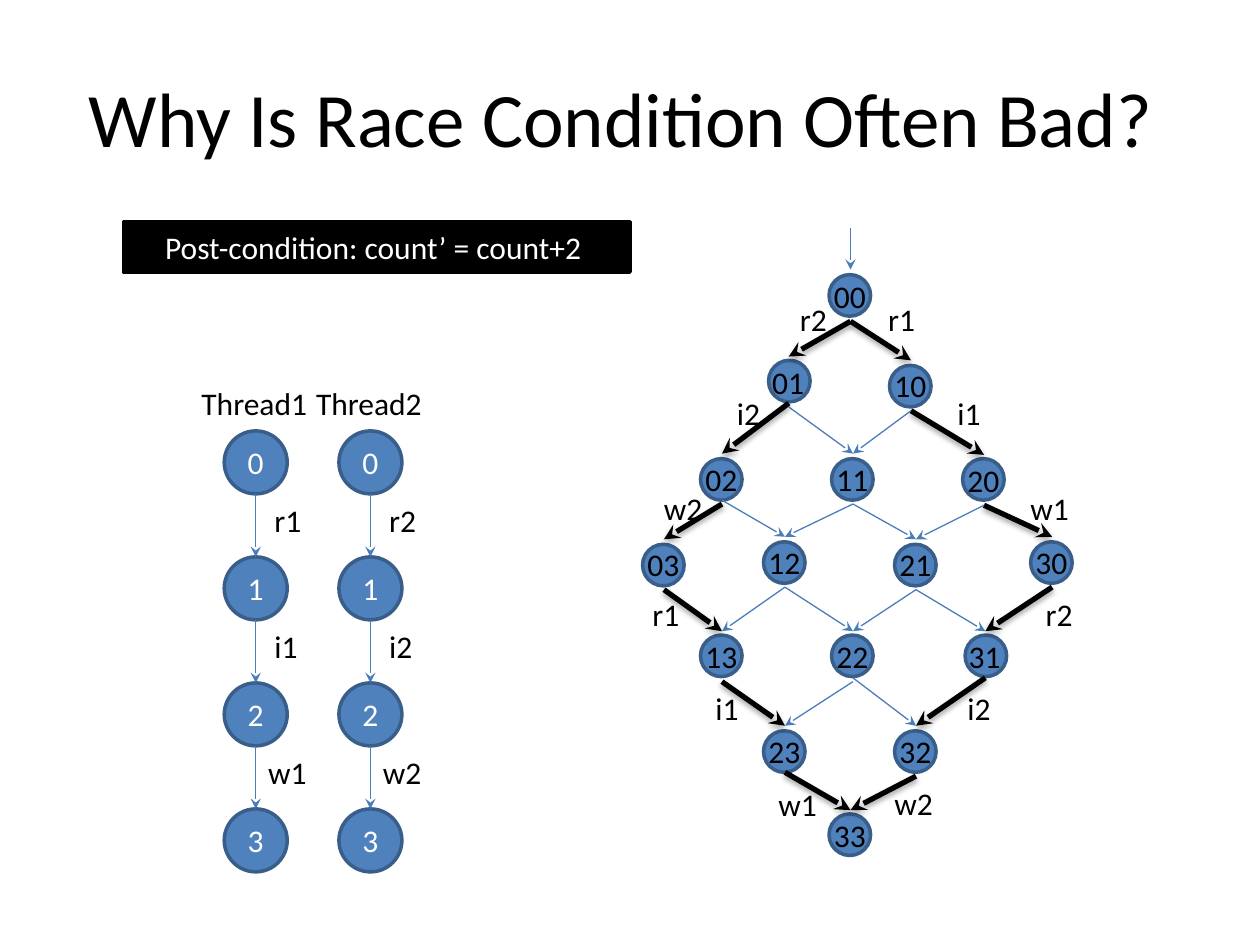
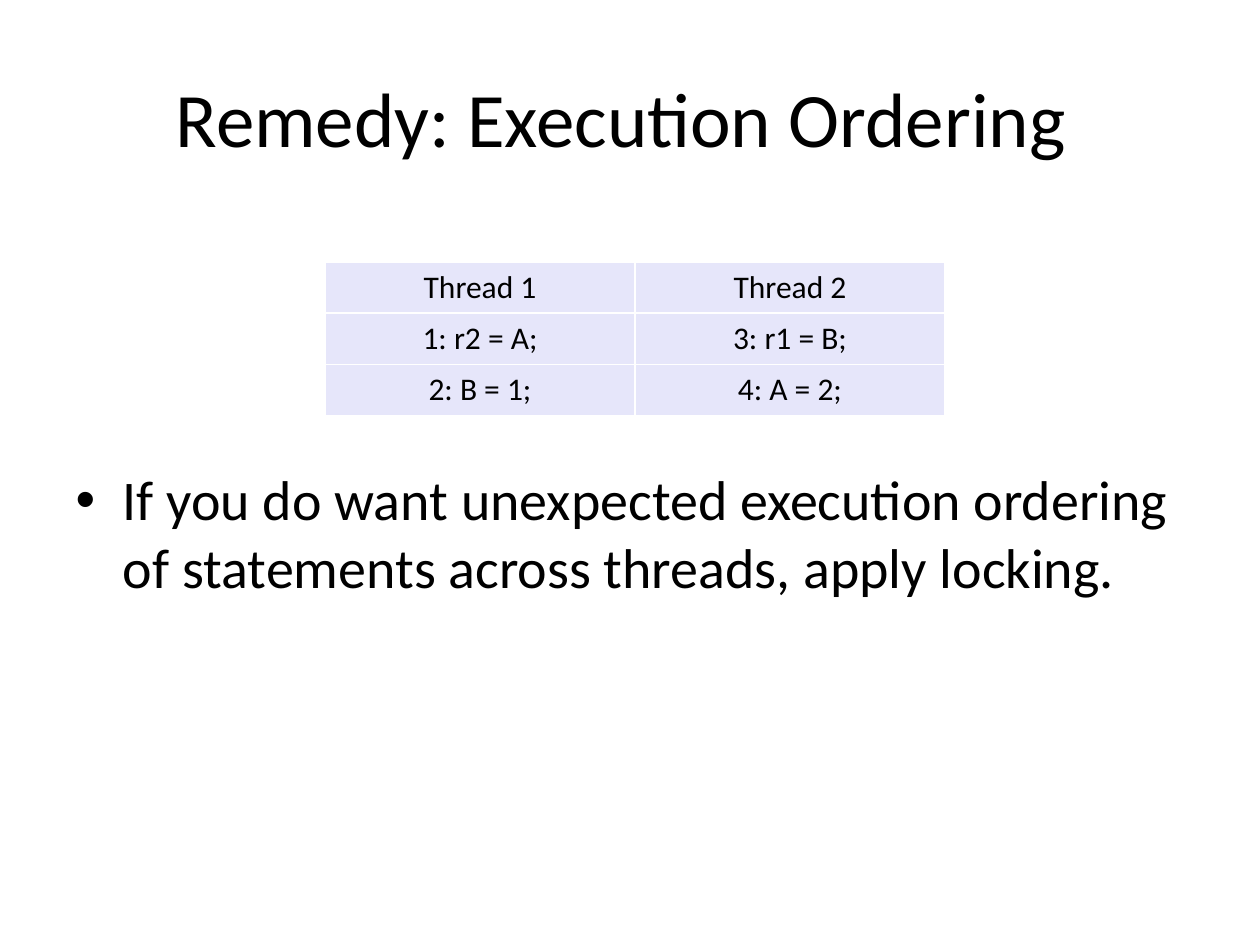
import pptx
import pptx.util
import pptx.dml.color
import pptx.enum.shapes
import pptx.enum.text
import pptx.oxml
import pptx.oxml.ns

PX = 9144  # EMU per px, 100 px to the inch
BLACK = pptx.dml.color.RGBColor(0x00, 0x00, 0x00)
WHITE = pptx.dml.color.RGBColor(0xFF, 0xFF, 0xFF)
BLUE = pptx.dml.color.RGBColor(0x4F, 0x81, 0xBD)
RIM = pptx.dml.color.RGBColor(0x39, 0x5E, 0x89)
ARROW = pptx.dml.color.RGBColor(0x4A, 0x7D, 0xBA)
LAVENDER = pptx.dml.color.RGBColor(0xE6, 0xE6, 0xFA)
SHAPE = pptx.enum.shapes.MSO_SHAPE
ANCHOR = pptx.enum.text.MSO_ANCHOR
ALIGN = pptx.enum.text.PP_ALIGN
SHADOW = ('<a:outerShdw blurRad="40000" dist="23000" dir="5400000" rotWithShape="0">'
          '<a:srgbClr val="000000"><a:alpha val="35000"/></a:srgbClr></a:outerShdw>')


def px(*lengths):
    return [length * PX for length in lengths]


class Deck:
    """Shared style, and the slide being filled."""
    font = "Calibri"
    title_size, body_size, label_size = 44, 32, 18

    def __init__(self):
        self.show = pptx.Presentation()
        self.show.slide_width, self.show.slide_height = px(1000, 750)
        self.page = None

    def set_text(self, frame, text, size=label_size, color=BLACK, align=ALIGN.LEFT):
        frame.text = text
        para = frame.paragraphs[0]
        para.alignment = align
        for span in para.runs:
            span.font.name = self.font
            span.font.size = pptx.util.Pt(size)
            span.font.bold = False
            span.font.color.rgb = color

    def place(self, box, left, top, width, height):
        box.left, box.top, box.width, box.height = px(left, top, width, height)

    def slide(self, title, layout):
        self.page = self.show.slides.add_slide(self.show.slide_layouts[layout])
        box = self.page.shapes.title
        self.place(box, 50, 30, 900, 125)
        self.set_text(box.text_frame, title, self.title_size, align=ALIGN.CENTER)

    def body(self, text, *area):
        box = self.page.placeholders[1]
        self.place(box, *area)
        self.set_text(box.text_frame, text, self.body_size)
        box.text_frame.paragraphs[0].space_before = pptx.util.Pt(0)

    def label(self, text, left, top, width=47):
        box = self.page.shapes.add_textbox(*px(left, top, width, 40))
        box.text_frame.word_wrap = True
        self.set_text(box.text_frame, text)

    def shape(self, kind, area, fill, line, text="", anchor=ANCHOR.MIDDLE):
        shape = self.page.shapes.add_shape(kind, *px(*area))
        shape.shadow.inherit = False
        shape.fill.solid()
        shape.fill.fore_color.rgb = fill
        shape.line.color.rgb = line
        shape.line.width = pptx.util.Pt(2)
        shape.text_frame.vertical_anchor = anchor
        if text:
            self.set_text(shape.text_frame, text, color=WHITE, align=ALIGN.CENTER)

    def circle(self, x, y, size, text=""):
        area = (x - size / 2, y - size / 2, size, size)
        self.shape(SHAPE.OVAL, [round(length) for length in area], BLUE, RIM, text)

    def arrow(self, start, end, heavy=False):
        line = self.page.shapes.add_connector(
            pptx.enum.shapes.MSO_CONNECTOR.STRAIGHT, *px(*start, *end))
        line.line.color.rgb = BLACK if heavy else ARROW
        line.line.width = pptx.util.Pt(3 if heavy else 0.75)
        space = pptx.oxml.ns.nsdecls("a")
        properties = line._element.spPr
        properties.get_or_add_ln().append(
            pptx.oxml.parse_xml(f'<a:tailEnd {space} type="stealth"/>'))
        properties.append(pptx.oxml.parse_xml(
            f'<a:effectLst {space}>{SHADOW if heavy else ""}</a:effectLst>'))

    def table(self, rows, left, top, width, row_height):
        table = self.page.shapes.add_table(
            len(rows), len(rows[0]), *px(left, top, width, row_height * len(rows))).table
        for r, row in enumerate(rows):
            for c, text in enumerate(row):
                cell = table.cell(r, c)
                cell.fill.solid()
                cell.fill.fore_color.rgb = LAVENDER
                cell.vertical_anchor = ANCHOR.MIDDLE
                self.set_text(cell.text_frame, text, align=ALIGN.CENTER)
        # No header row or banding, so no white rules between rows
        table.first_row = table.horz_banding = False


# Centre of each joint state, named by the steps done in thread 1 and thread 2
STATES = {
    "00": (675, 235), "01": (626, 303), "10": (723, 306),
    "02": (573, 380), "11": (677, 380), "20": (781, 381),
    "03": (527, 448), "12": (623, 446), "21": (727, 448), "30": (835, 446),
    "13": (573, 521), "22": (677, 521), "31": (782, 521),
    "23": (623, 596), "32": (727, 596), "33": (675, 663),
}
# Arrows that start at the rim of the circle instead of just below it
FROM_RIM = {("01", "02"), ("02", "12"), ("22", "32"), ("31", "32"), ("23", "33")}
OUTER_STEPS = [
    ("r2", 625, 233), ("i2", 575, 308), ("w2", 517, 383),
    ("r1", 508, 467), ("i1", 558, 542), ("w1", 608, 618),
    ("r1", 695, 233), ("i1", 750, 308), ("w1", 808, 383),
    ("r2", 820, 467), ("i2", 758, 542), ("w2", 700, 617),
]


def draw_thread(deck, number, x):
    deck.label(f"Thread{number}", x - 53, 300, 105)
    for state in range(4):
        deck.circle(x, 367 + 100 * state, 50, str(state))
    for step, action in enumerate("riw"):
        top = 392 + 100 * step
        deck.arrow((x, top), (x, top + 50))
        wide = action == "w"
        deck.label(f"{action}{number}", x + (0 if wide else 5), top + 1, 52 if wide else 47)


def draw_state_graph(deck):
    for name, (x, y) in STATES.items():
        deck.circle(x, y, 33)
        deck.label(name, x - 23, y - 20, 46)
    deck.arrow((675, 181), (675, 214))
    for name, (x, y) in STATES.items():
        first, second = int(name[0]), int(name[1])
        # The idle thread's state is 0 or 3 on the outer paths
        for target, idle in ((f"{first + 1}{second}", second), (f"{first}{second + 1}", first)):
            if target in STATES:
                gap = 17 if (name, target) in FROM_RIM else 20
                end_x, end_y = STATES[target]
                deck.arrow((x, y + gap), (end_x, end_y - 20), heavy=idle in (0, 3))
    for text, left, top in OUTER_STEPS:
        deck.label(text, left, top, 58)


def main():
    deck = Deck()

    # Slide 1: both threads and their interleavings
    deck.slide("Why Is Race Condition Often Bad? ", 5)
    draw_thread(deck, 1, 203)
    draw_thread(deck, 2, 294)
    deck.shape(SHAPE.RECTANGLE, (98, 176, 402, 40), BLACK, BLACK,
               "Post-condition: count’ = count+2 ", ANCHOR.TOP)
    draw_state_graph(deck)

    # Slide 2: ordering by locks
    deck.slide("Remedy: Execution Ordering ", 1)
    deck.body("If you do want unexpected execution ordering of statements "
              "across threads, apply locking.", 50, 364, 900, 306)
    deck.table([("Thread 1", "Thread 2"),
                ("1: r2 = A;", "3: r1 = B;"),
                ("2: B = 1;", "4: A = 2;")], 258, 208, 492, 40)

    deck.show.save("out.pptx")


if __name__ == "__main__":
    main()
